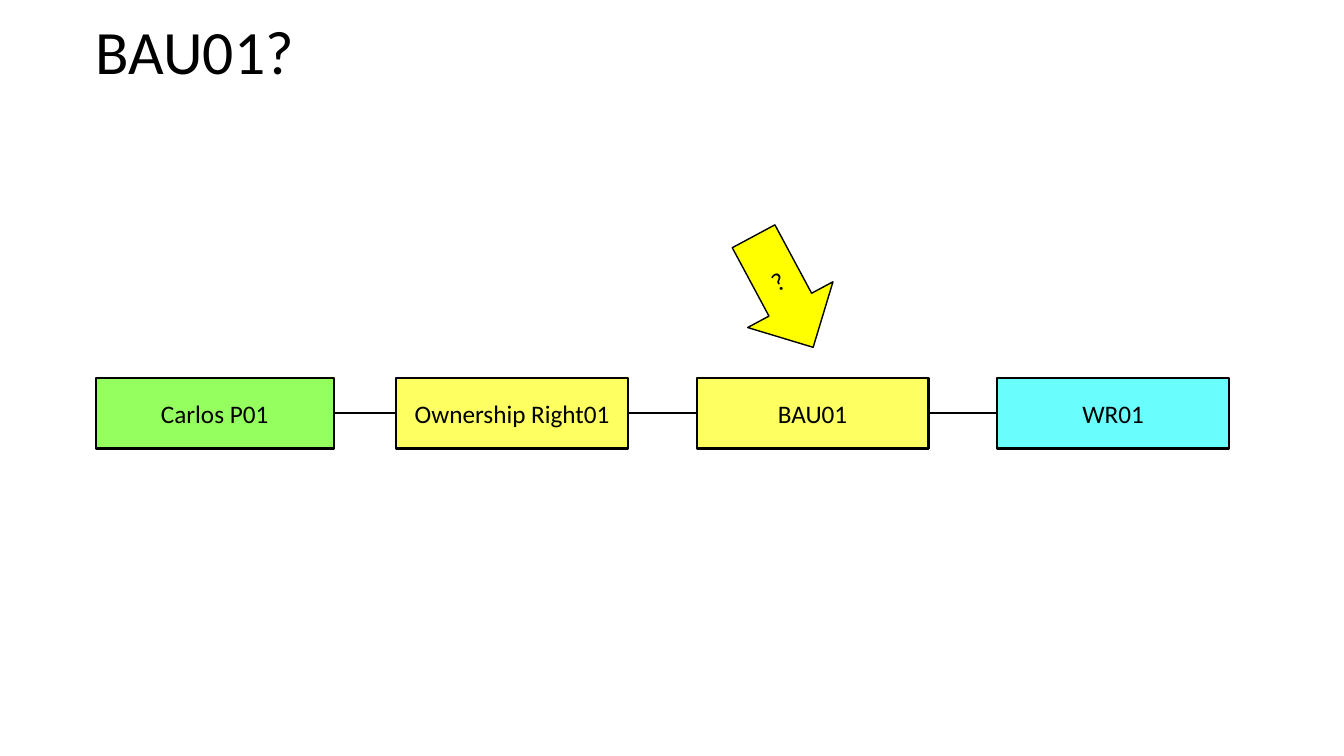
import pptx
import pptx.util
import pptx.dml.color
import pptx.enum.shapes
import pptx.enum.text
import pptx.oxml.ns
import lxml.etree

Inches, Pt = pptx.util.Inches, pptx.util.Pt
RGBColor = pptx.dml.color.RGBColor
MSO_SHAPE = pptx.enum.shapes.MSO_SHAPE
PP_ALIGN = pptx.enum.text.PP_ALIGN
MSO_ANCHOR = pptx.enum.text.MSO_ANCHOR

BLACK = RGBColor(0x00, 0x00, 0x00)
GREEN = RGBColor(0x95, 0xFF, 0x60)
PALE_YELLOW = RGBColor(0xFE, 0xFF, 0x60)
CYAN = RGBColor(0x69, 0xFD, 0xFD)
YELLOW = RGBColor(0xFF, 0xFF, 0x00)

# Grid of the chain
LEFT, TOP = 0.95, 3.75
PITCH, HEIGHT = 2.98, 0.7


def write(shape, text, size, align, anchor):
    frame = shape.text_frame
    frame.text = text
    frame.word_wrap = True
    frame.auto_size = pptx.enum.text.MSO_AUTO_SIZE.NONE
    frame.vertical_anchor = anchor
    paragraph = frame.paragraphs[0]
    paragraph.alignment = align
    font = paragraph.runs[0].font
    for key, value in {"name": "Calibri", "size": Pt(size)}.items():
        setattr(font, key, value)
    font.color.rgb = BLACK
    return paragraph


def add_node(kind, left, top, width, height, fill, line_width, text):
    node = slide.shapes.add_shape(
        kind, Inches(left), Inches(top), Inches(width), Inches(height))
    node.shadow.inherit = False
    node.fill.solid()
    node.fill.fore_color.rgb = fill
    node.line.color.rgb = BLACK
    node.line.width = Pt(line_width)
    write(node, text, 18, PP_ALIGN.CENTER, MSO_ANCHOR.MIDDLE)
    return node


deck = pptx.Presentation()
deck.slide_width, deck.slide_height = Inches(13.33), Inches(7.5)
slide = deck.slides.add_slide(deck.slide_layouts[5])

# Title
heading = slide.shapes.title
place = {"left": 0.85, "top": 0.16, "width": 11.5, "height": 1.45}
for side, length in place.items():
    setattr(heading, side, Inches(length))
write(heading, "BAU01?", 44, PP_ALIGN.LEFT, MSO_ANCHOR.TOP).line_spacing = 0.9

# Question arrow pointing at the third box
question = add_node(MSO_SHAPE.DOWN_ARROW, 7.29, 2.27, 0.96, 1.25, YELLOW, 1, "?")
question.rotation = 331.8

# Chain of boxes
chain = [
    ("Carlos P01", GREEN, 2.36),
    ("Ownership Right01", PALE_YELLOW, 2.3),
    ("BAU01", PALE_YELLOW, 2.3),
    ("WR01", CYAN, 2.3),
]
boxes = [
    add_node(MSO_SHAPE.RECTANGLE, LEFT + column * PITCH, TOP, width, HEIGHT,
             fill, 1.5, label)
    for column, (label, fill, width) in enumerate(chain)
]

# Links between neighbouring boxes
for box, neighbour in zip(boxes, boxes[1:]):
    link = slide.shapes.add_connector(
        pptx.enum.shapes.MSO_CONNECTOR.STRAIGHT, 0, 0, 0, 0)
    link.begin_connect(box, 3)
    link.end_connect(neighbour, 1)
    link.line.color.rgb = BLACK
    link.line.width = Pt(1.5)
    lxml.etree.SubElement(
        link._element.spPr, pptx.oxml.ns.qn("a:effectLst"))

deck.save("out.pptx")
